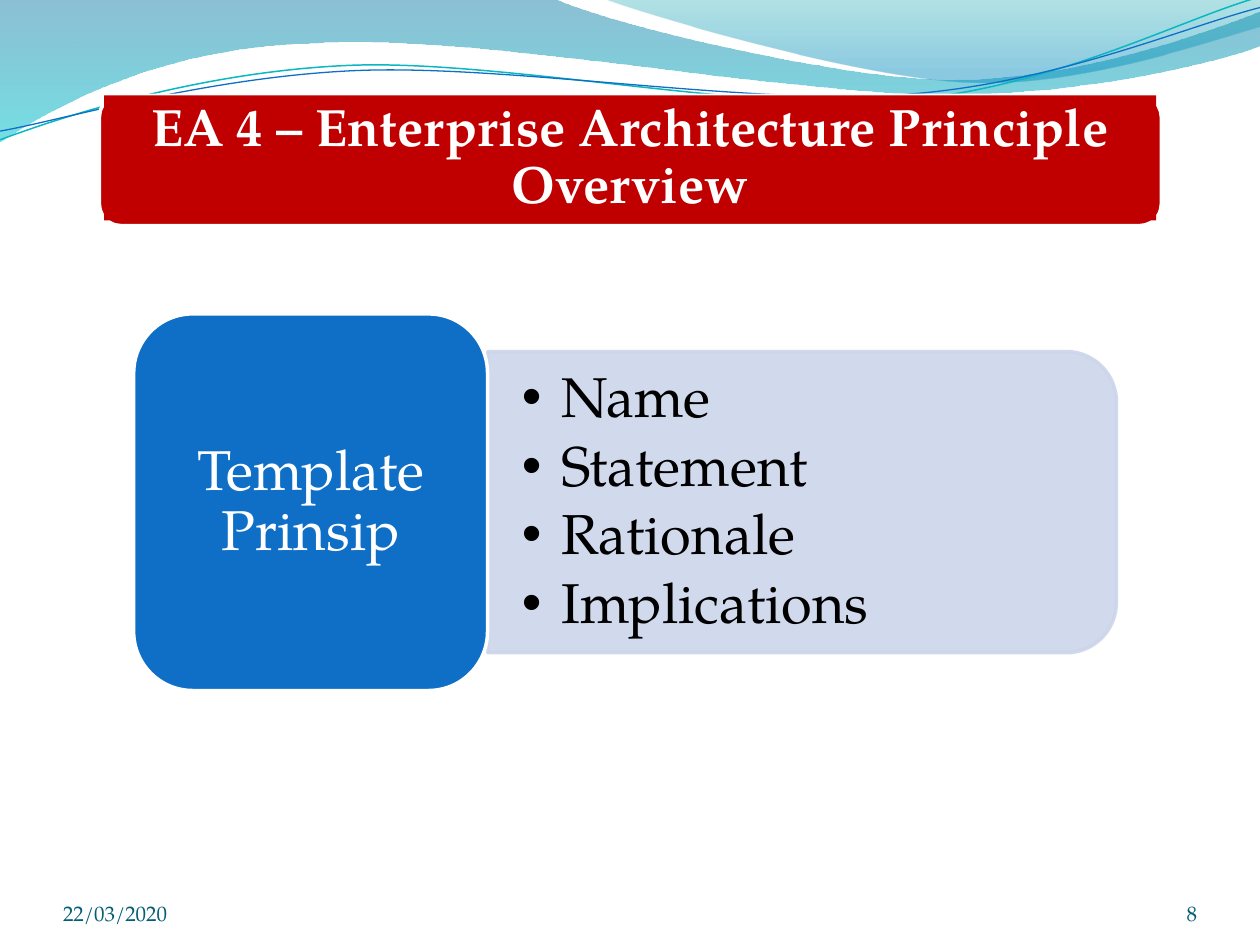
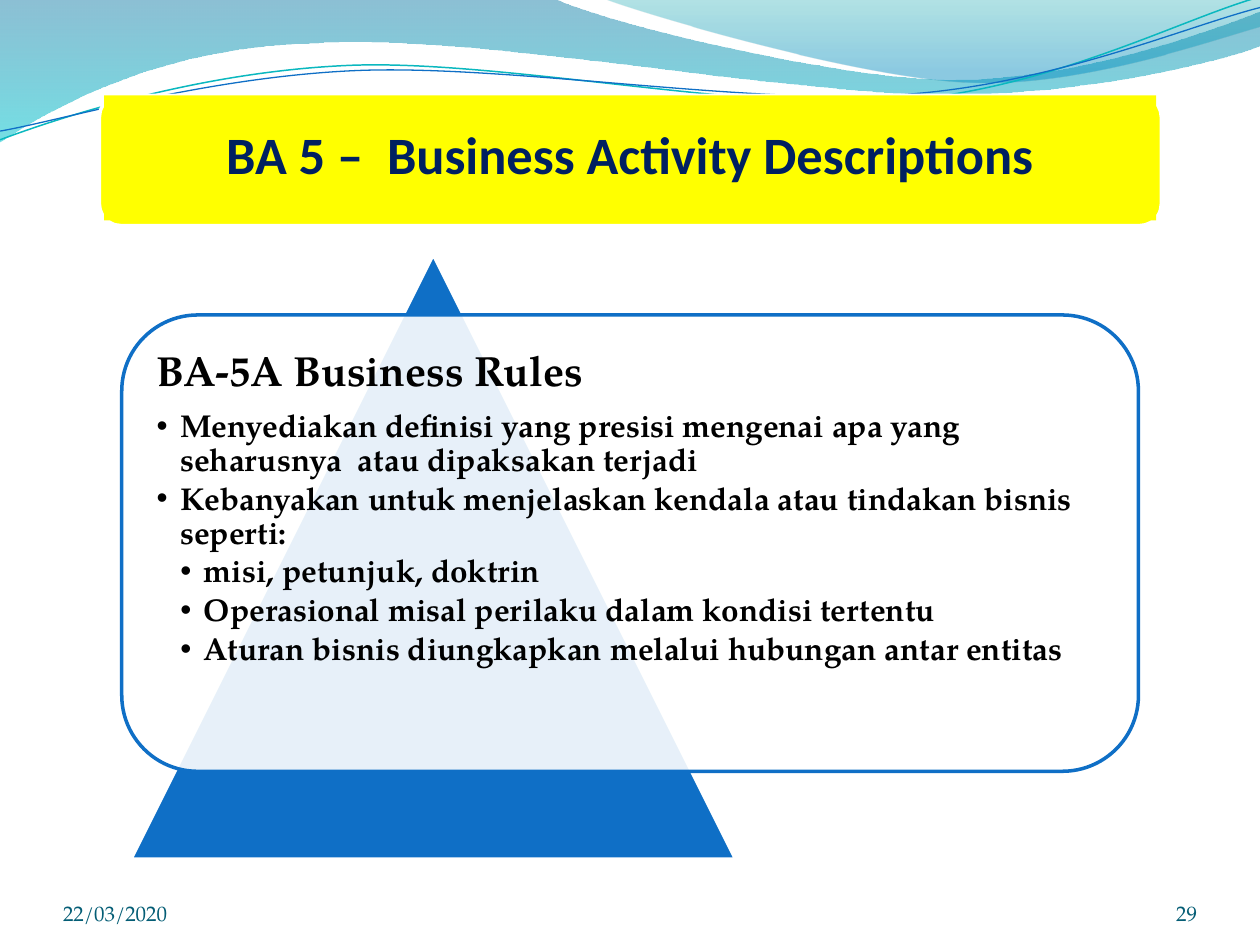
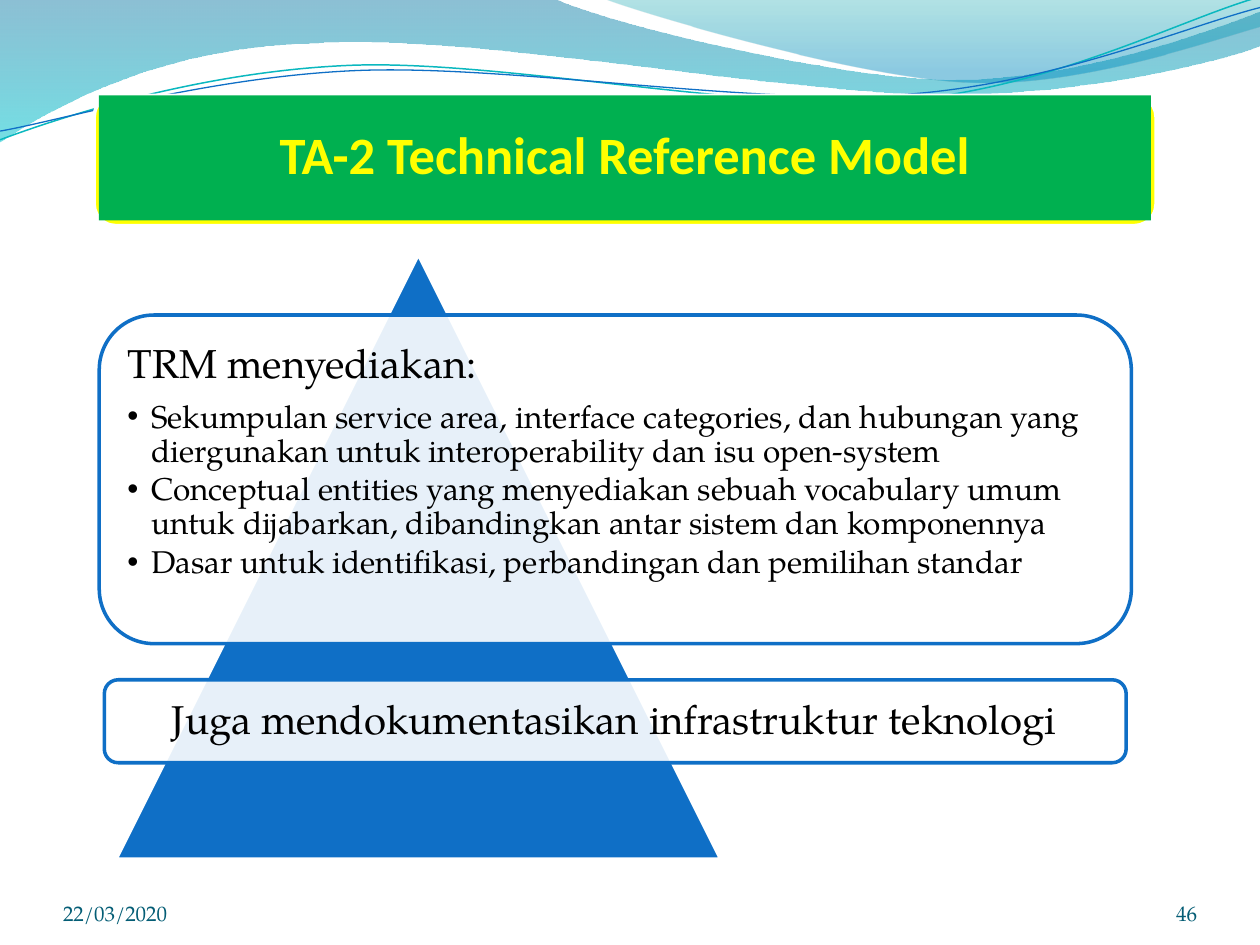
from lxml.etree import SubElement
from pptx import Presentation
from pptx.dml.color import RGBColor
from pptx.enum.shapes import MSO_SHAPE as Kind
from pptx.enum.text import MSO_ANCHOR as Anchor, PP_ALIGN as Align
from pptx.oxml.ns import qn
from pptx.util import Pt

rgb = RGBColor.from_string
SERIF, SANS = "TeX Gyre Pagella", "Calibri"
BLUE, PALE, WHITE, BLACK = "0F6FC6", "CCD5EA", "FFFFFF", "000000"
TEAL, RED, YELLOW, GREEN, NAVY = "045D75", "C00000", "FFFF00", "00B050", "002060"
ROUND, TRI = Kind.ROUNDED_RECTANGLE, Kind.ISOSCELES_TRIANGLE

# Waves: start point, then lines (x, y) and curves (two controls, end)
WAVES = [
    ([(0, 0), (316.8, -0.7), (342.7, 12.2, 478.1, 45.4, 545.8, 45.4),
      (614.2, 45.4, 689.8, 18.7, 720, 6.5), (720.7, 25.9),
      (707.8, 31.7, 626.4, 54.7, 537.1, 54), (447.8, 54, 275, 20.2, 185, 24.5),
      (92.9, 25.9, 33.1, 59.8, -0.7, 81.4)],
     [(0, "0074A1", 45), (1, "00C6CF", 55)]),
    ([(344.9, -0.7), (366.5, 7.9, 491, 44.6, 553.7, 46.8),
      (616.3, 49.7, 691.9, 23, 720, 15.1), (720, 0)],
     [(0, "00A1A9", 30), (0.8, "008BBF", 45)]),
]
CURVES = [
    ([(0, 79.9), (34.6, 67, 113.8, 41, 199.4, 37.4),
      (284.4, 33.8, 427, 64.1, 513.4, 57.6),
      (599.8, 51.1, 675.4, 10.8, 718.6, -1.4)], "0AB8BF", 0.85),
    ([(0, 74.9), (33.8, 69.1, 118.1, 43.9, 203.8, 40.3),
      (290.2, 36.7, 429.8, 60.5, 516.2, 54),
      (601.9, 48.2, 677.5, 15.1, 720, 4.3)], BLUE, 0.75),
]

# Slides: page, title, band left, title font, text, fill and back colours
SLIDES = [
    dict(page="8", title="EA 4 – Enterprise Architecture Principle Overview",
         left=56.8, font=SERIF, ink=WHITE, fill=RED, back=RED,
         parts=[
             (Kind.ROUND_2_SAME_RECTANGLE, (372.2, 107.3, 172.1, 359.3), PALE, PALE, 90, 90),
             (ROUND, (76.4, 179.4, 202.2, 215.2), BLUE, WHITE, 100, 0)],
         texts=[
             ((278.7, 209.3, 350.6, 155.5),
              [(t, 32, 1) for t in ("Name", "Statement", "Rationale", "Implications")],
              dict(ins=(19.5, 10), step=22.5, anchor=Anchor.MIDDLE)),
             ((86.6, 189.2, 182.2, 195.8), [("Template Prinsip", 32, 0)],
              dict(ins=(9.4, 5), ink=WHITE, align=Align.CENTER, anchor=Anchor.MIDDLE))]),
    dict(page="29", title="BA 5 –  Business Activity Descriptions",
         left=56.8, font=SANS, ink=NAVY, fill=YELLOW, back=YELLOW,
         parts=[
             (TRI, (74.8, 145.4, 345.6, 345.6), BLUE, WHITE, 100, 0),
             (ROUND, (69.6, 180, 581, 260.8), WHITE, BLUE, 90, 0)],
         texts=[
             ((82.4, 192.8, 555.1, 235.4),
              [("BA-5A Business Rules", 24, 0),
               ("Menyediakan definisi yang presisi mengenai apa yang seharusnya  atau dipaksakan terjadi", 18, 1),
               ("Kebanyakan untuk menjelaskan kendala atau tindakan bisnis seperti:", 18, 1),
               ("misi, petunjuk, doktrin", 18, 2),
               ("Operasional misal perilaku dalam kondisi tertentu", 18, 2),
               ("Aturan bisnis diungkapkan melalui hubungan antar entitas", 18, 2)],
              dict(bold=True))]),
    dict(page="46", title="TA-2 Technical Reference Model",
         left=53.8, font=SANS, ink=YELLOW, fill=GREEN, back=YELLOW,
         parts=[
             (TRI, (66.3, 145.4, 345.6, 345.6), BLUE, WHITE, 100, 0),
             (ROUND, (56.7, 180, 589.8, 187.8), WHITE, BLUE, 90, 0),
             (ROUND, (59.6, 388.5, 583.9, 47.4), WHITE, BLUE, 90, 0)],
         texts=[
             ((65.8, 189, 571.7, 169.2),
              [("TRM menyediakan:", 23, 0),
               ("Sekumpulan service area, interface categories, dan hubungan yang diergunakan untuk interoperability dan isu open-system", 18, 1),
               ("Conceptual entities yang menyediakan sebuah vocabulary umum untuk dijabarkan, dibandingkan antar sistem dan komponennya", 18, 1),
               ("Dasar untuk identifikasi, perbandingan dan pemilihan standar", 18, 1)],
              {}),
             ((61.6, 390.8, 579.6, 42.5),
              [("Juga mendokumentasikan infrastruktur teknologi", 23, 0)],
              dict(align=Align.CENTER, anchor=Anchor.MIDDLE))]),
]


def draw(slide, kind, box, fill, line=None, alpha=100, turn=0):
    shape = slide.shapes.add_shape(kind, *map(Pt, box))
    shape.shadow.inherit = False
    shape.rotation = turn
    shape.fill.solid()
    shape.fill.fore_color.rgb = rgb(fill)
    if line:
        shape.line.color.rgb = rgb(line)
        shape.line.width = Pt(2)
    else:
        shape.line.fill.background()
    if alpha < 100:
        for node in shape._element.spPr.iter(qn("a:srgbClr")):
            if node.get("val") == fill:
                SubElement(node, qn("a:alpha"), val=str(alpha * 1000))
    return shape


def write(shape, paras, ink=BLACK, font=SERIF, bold=False, ins=(7.2, 7.2),
          step=13.5, align=Align.LEFT, anchor=Anchor.TOP):
    frame = shape.text_frame
    wide, high = map(Pt, ins)
    look = dict(word_wrap=True, vertical_anchor=anchor, margin_left=wide,
                margin_right=wide, margin_top=high, margin_bottom=high)
    for key, val in look.items():
        setattr(frame, key, val)
    for i, (text, size, level) in enumerate(paras):
        para = frame.add_paragraph() if i else frame.paragraphs[0]
        if level:
            props = para._p.get_or_add_pPr()
            props.set("marL", str(Pt(step * level)))
            props.set("indent", str(-Pt(step)))
            SubElement(props, qn("a:buFont"), typeface="Arial")
            SubElement(props, qn("a:buChar"), char="•")
        look = dict(text=text, level=level, alignment=align, line_spacing=0.9,
                    space_after=Pt(size * (0.15 if level else 0.35)))
        for key, val in look.items():
            setattr(para, key, val)
        for key, val in dict(name=font, size=Pt(size), bold=bold).items():
            setattr(para.runs[0].font, key, val)
        para.runs[0].font.color.rgb = rgb(ink)


deck = Presentation()
deck.slide_width, deck.slide_height = Pt(720), Pt(540)

for data in SLIDES:
    slide = deck.slides.add_slide(deck.slide_layouts[6])

    # Waves and thin curves at the top
    for route, *style in WAVES + CURVES:
        closed = len(style) == 1
        pen = slide.shapes.build_freeform(*map(Pt, route[0]))
        dots = [(Pt(seg[n]), Pt(seg[n + 1]))
                for seg in route[1:] for n in range(0, len(seg), 2)]
        pen.add_line_segments(dots, close=closed)
        wave = pen.convert_to_shape()
        wave.shadow.inherit = False

        # Join each run of three points into one curve
        lines = list(wave._element.spPr.iter(qn("a:lnTo")))
        for seg in route[1:]:
            count = len(seg) // 2
            group, lines = lines[:count], lines[count:]
            if count == 3:
                group[0].tag = qn("a:cubicBezTo")
                for node in group[1:]:
                    group[0].append(node[0])
                    node.getparent().remove(node)

        if closed:
            wave.line.fill.background()
            wave.fill.gradient()
            wave.fill.gradient_angle = 270
            for stop, (place, tint, alpha) in zip(wave.fill.gradient_stops, style[0]):
                stop.position = place
                stop.color.rgb = rgb(tint)
            for node, (place, tint, alpha) in zip(
                    wave._element.spPr.iter(qn("a:srgbClr")), style[0]):
                SubElement(node, qn("a:alpha"), val=str(alpha * 1000))
        else:
            wave.fill.background()
            wave.line.color.rgb = rgb(style[0])
            wave.line.width = Pt(style[1])

    # Footer: date and page
    for text, box, align in (("22/03/2020", (36, 500.5, 168, 28.75), Align.LEFT),
                             (data["page"], (624, 500.5, 60, 28.75), Align.RIGHT)):
        write(slide.shapes.add_textbox(*map(Pt, box)), [(text, 12, 0)], ink=TEAL,
              ins=(0, 0), align=align, anchor=Anchor.BOTTOM)

    # Title band
    left = data["left"]
    draw(slide, ROUND, (left, 54.5, 606.8, 74.4), data["back"], WHITE)
    band = draw(slide, Kind.RECTANGLE, (left + 2.7, 54.5, 601.2, 71.5), data["fill"])
    write(band, [(data["title"], 30, 0)], ink=data["ink"], font=data["font"],
          bold=True, ins=(8.6, 8.6), align=Align.CENTER, anchor=Anchor.MIDDLE)

    # Body
    for part in data["parts"]:
        draw(slide, *part)
    for box, paras, look in data["texts"]:
        write(slide.shapes.add_textbox(*map(Pt, box)), paras, **look)

deck.save("out.pptx")
